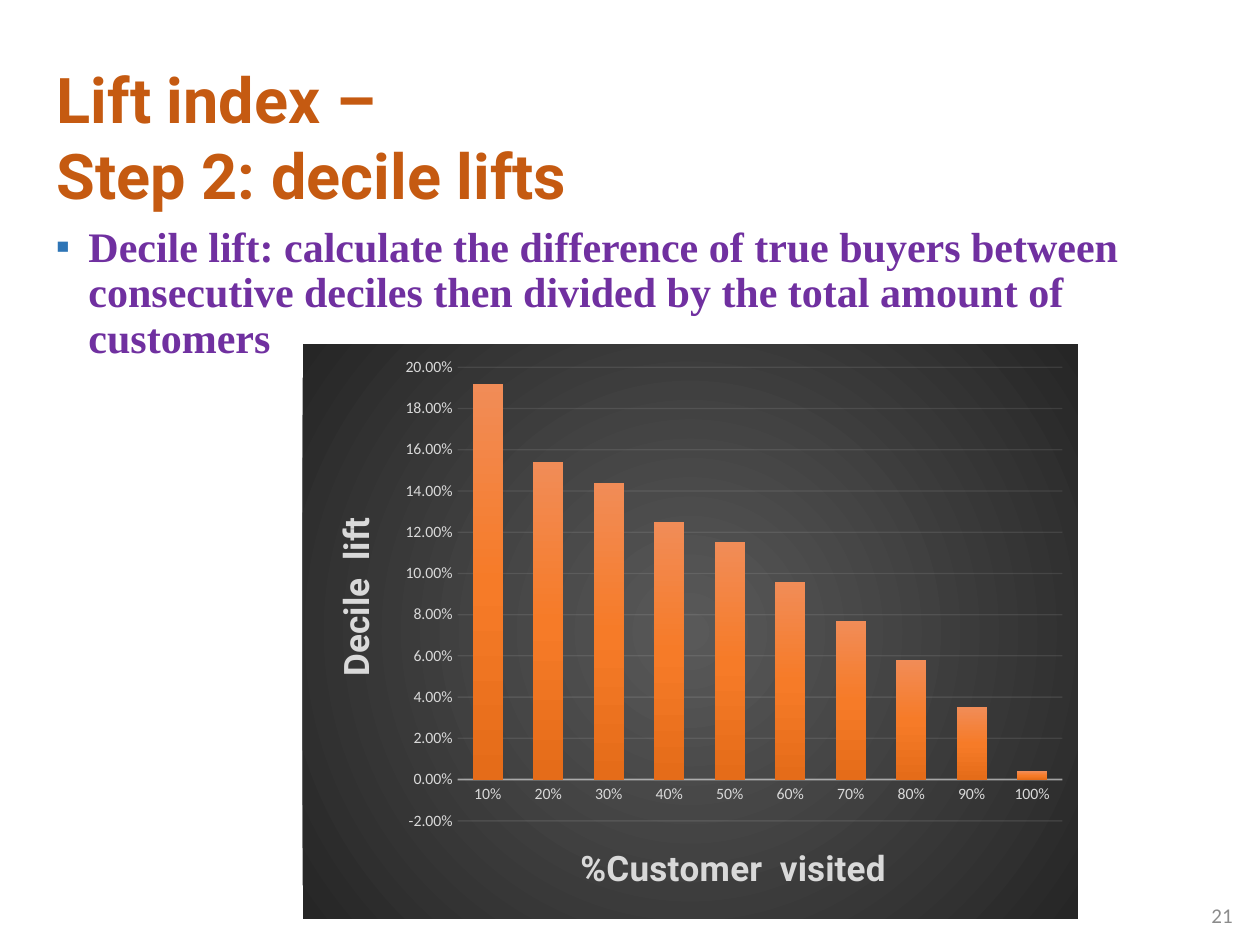
from dataclasses import dataclass

from lxml.etree import SubElement
from pptx import Presentation
from pptx.chart.data import CategoryChartData
from pptx.dml.color import RGBColor
from pptx.enum.chart import XL_CHART_TYPE, XL_TICK_MARK
from pptx.enum.text import MSO_ANCHOR, MSO_AUTO_SIZE, PP_ALIGN
from pptx.oxml import parse_xml
from pptx.oxml.ns import nsdecls, qn
from pptx.util import Cm, Pt

LIGHT_GRAY = "D9D9D9"
LINE_WHITE = "F2F2F2"
DECILE_LIFTS = (0.192, 0.154, 0.144, 0.125, 0.115, 0.096, 0.077, 0.058, 0.035, 0.004)


@dataclass(frozen=True)
class Box:
    left: float
    top: float
    width: float
    height: float

    def lengths(self) -> tuple:
        return Cm(self.left), Cm(self.top), Cm(self.width), Cm(self.height)


@dataclass(frozen=True)
class AxisStyle:
    title: str
    title_x: float
    title_y: float
    number_format: str
    rotation: int = 0


TITLE_BOX = Box(0.89, 1.1, 11.4, 3.33)
BODY_BOX = Box(0.89, 4.43, 23.67, 13.51)
NUMBER_BOX = Box(23.75, 17.93, 1.35, 1.02)
CHART_BOX = Box(6.1, 6.94, 15.63, 11.58)
CATEGORY_AXIS = AxisStyle("%Customer  visited", 0.35, 0.86, "0%")
VALUE_AXIS = AxisStyle("Decile  lift", 0.03, 0.29, "0.00%", -90)


def color(value: str) -> RGBColor:
    return RGBColor.from_string(value)


def style_font(font, *, name: str, size: float, fill: str, bold: bool = False) -> None:
    font.name = name
    font.size = Pt(size)
    font.bold = bold
    font.color.rgb = color(fill)


def write_text(text_frame, text: str, *, align=PP_ALIGN.LEFT, anchor=None,
               line_spacing: float = 1.0, wrap: bool = True, **font_format) -> None:
    """Fill a text frame, one paragraph for each line of text."""
    text_frame.text = text
    text_frame.word_wrap = wrap
    text_frame.vertical_anchor = anchor
    for paragraph in text_frame.paragraphs:
        paragraph.alignment = align
        paragraph.line_spacing = line_spacing
        paragraph.space_before = Pt(0)
        for run in paragraph.runs:
            style_font(run.font, **font_format)


def place(shape, box: Box) -> None:
    shape.left, shape.top, shape.width, shape.height = box.lengths()


def add_square_bullet(paragraph, fill: str) -> None:
    properties = paragraph._p.get_or_add_pPr()
    properties.set("marL", str(Cm(0.64)))
    properties.set("indent", str(-Cm(0.64)))
    bullet_color = SubElement(properties, qn("a:buClr"))
    SubElement(bullet_color, qn("a:srgbClr"), val=fill)
    SubElement(properties, qn("a:buSzPct"), val="50000")
    SubElement(properties, qn("a:buFont"), typeface="Arial")
    SubElement(properties, qn("a:buChar"), char="■")


def gradient_properties(stops: dict[int, str], direction: str):
    """Shape properties with a gradient fill and no outline."""
    stop_xml = "".join(
        f'<a:gs pos="{position * 1000}"><a:srgbClr val="{fill}"/></a:gs>'
        for position, fill in stops.items()
    )
    return parse_xml(
        f'<c:spPr {nsdecls("c", "a")}><a:gradFill><a:gsLst>{stop_xml}</a:gsLst>'
        f"{direction}</a:gradFill><a:ln><a:noFill/></a:ln></c:spPr>"
    )


def manual_layout(**values):
    value_xml = "".join(f'<c:{key} val="{value}"/>' for key, value in values.items())
    return parse_xml(
        f'<c:layout {nsdecls("c")}><c:manualLayout>{value_xml}</c:manualLayout></c:layout>'
    )


def set_layout(element, position: int, layout) -> None:
    for old_layout in element.findall(qn("c:layout")):
        element.remove(old_layout)
    element.insert(position, layout)


def style_line(line, width: float, opacity: int) -> None:
    line.width = Pt(width)
    line.color.rgb = color(LINE_WHITE)
    rgb = line._get_or_add_ln().find(".//" + qn("a:srgbClr"))
    SubElement(rgb, qn("a:alpha"), val=str(opacity * 1000))


def style_axis(axis, style: AxisStyle) -> None:
    axis.major_tick_mark = axis.minor_tick_mark = XL_TICK_MARK.NONE
    labels = axis.tick_labels
    labels.number_format = style.number_format
    labels.number_format_is_linked = False
    style_font(labels.font, name="Calibri", size=9, fill=LIGHT_GRAY)
    text_frame = axis.axis_title.text_frame
    write_text(text_frame, style.title, align=PP_ALIGN.CENTER,
               name="Roboto", size=20, fill=LIGHT_GRAY, bold=True)
    body_properties = text_frame._txBody.find(qn("a:bodyPr"))
    body_properties.set("rot", str(style.rotation * 60000))
    body_properties.set("vert", "horz")
    set_layout(axis.axis_title._element, 1, manual_layout(
        xMode="edge", yMode="edge", x=style.title_x, y=style.title_y))


def add_lift_chart(slide) -> None:
    data = CategoryChartData(number_format="0.00%")
    data.categories = [decile / 10 for decile in range(1, 11)]
    data.categories.number_format = CATEGORY_AXIS.number_format
    data.add_series("Series 1", DECILE_LIFTS)
    chart = slide.shapes.add_chart(
        XL_CHART_TYPE.COLUMN_CLUSTERED, *CHART_BOX.lengths(), data).chart
    chart.has_title = False
    chart.has_legend = False
    style_font(chart.font, name="Calibri", size=10, fill="000000")

    center = '<a:path path="circle"><a:fillToRect l="50000" t="50000" r="50000" b="50000"/></a:path>'
    chart._chartSpace.find(qn("c:chart")).addnext(
        gradient_properties({0: "595959", 100: "262626"}, center))
    set_layout(chart._chartSpace.find(".//" + qn("c:plotArea")), 0, manual_layout(
        layoutTarget="inner", xMode="edge", yMode="edge", x=0.2, y=0.04, w=0.78, h=0.79))

    plot = chart.plots[0]
    plot.vary_by_categories = False
    plot.gap_width = 100
    plot.overlap = -24
    series = plot.series[0]
    series.invert_if_negative = False
    series._element.find(qn("c:tx")).addnext(gradient_properties(
        {0: "F18C57", 50: "F67B28", 100: "E56C19"}, '<a:lin ang="5400000" scaled="0"/>'))

    style_axis(chart.category_axis, CATEGORY_AXIS)
    style_line(chart.category_axis.format.line, 1, 54)
    value_axis = chart.value_axis
    style_axis(value_axis, VALUE_AXIS)
    value_axis.format.line.fill.background()
    value_axis.minimum_scale = -0.02
    value_axis.maximum_scale = 0.2
    value_axis.major_unit = 0.02
    style_line(value_axis.major_gridlines.format.line, 0.75, 10)


def main() -> None:
    presentation = Presentation()
    presentation.slide_width, presentation.slide_height = Cm(25.4), Cm(19.05)
    slide = presentation.slides.add_slide(presentation.slide_layouts[1])

    body = slide.placeholders[1]
    place(body, BODY_BOX)
    write_text(
        body.text_frame,
        "Decile lift: calculate the difference of true buyers between consecutive "
        "deciles then divided by the total amount of customers",
        anchor=MSO_ANCHOR.TOP, line_spacing=0.9,
        name="Times New Roman", size=24, fill="7030A0", bold=True)
    add_square_bullet(body.text_frame.paragraphs[0], "2E75B6")

    title = slide.shapes.title
    place(title, TITLE_BOX)
    title.text_frame.auto_size = MSO_AUTO_SIZE.SHAPE_TO_FIT_TEXT
    write_text(title.text_frame, "Lift index –\nStep 2: decile lifts",
               anchor=MSO_ANCHOR.TOP, wrap=False,
               name="Roboto", size=36, fill="C55A11", bold=True)

    number = slide.shapes.add_textbox(*NUMBER_BOX.lengths())
    write_text(number.text_frame, "21", align=PP_ALIGN.RIGHT, anchor=MSO_ANCHOR.MIDDLE,
               name="Calibri", size=12, fill="8C8C8C")
    add_lift_chart(slide)
    presentation.save("out.pptx")


if __name__ == "__main__":
    main()
